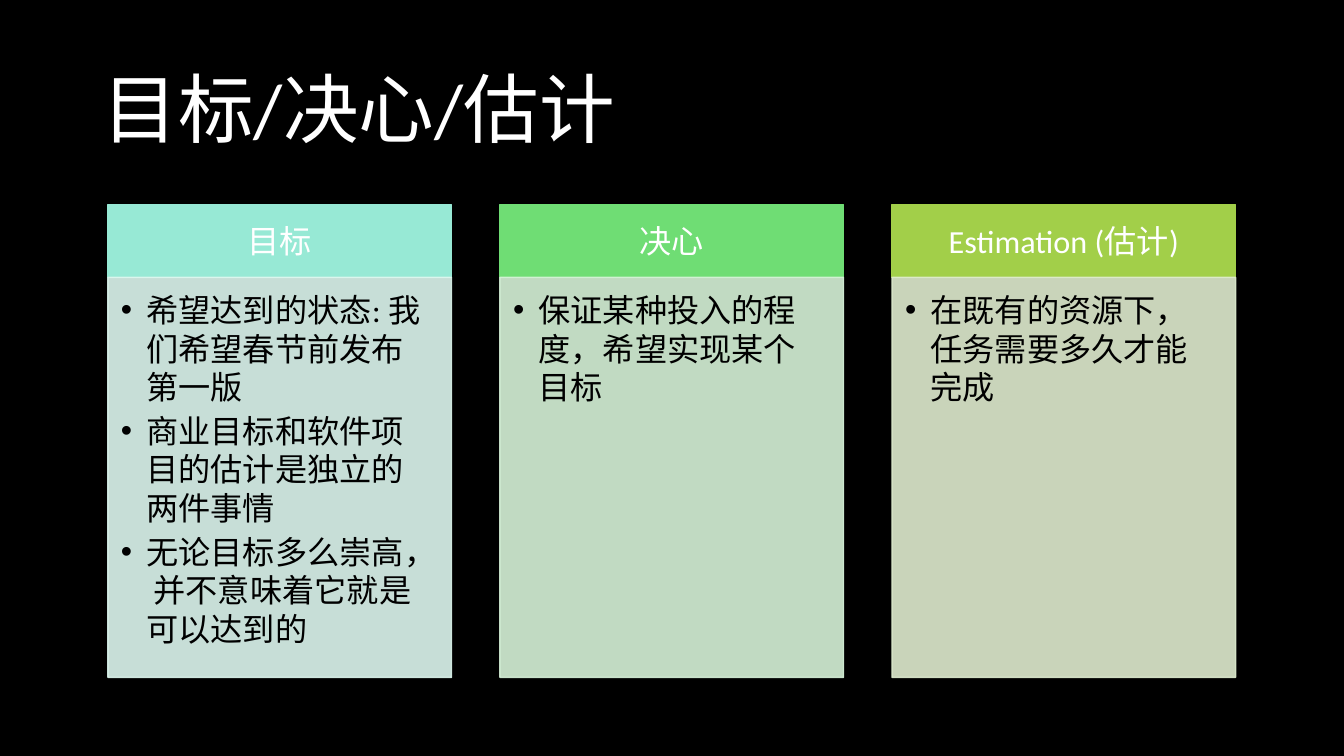
from lxml.etree import SubElement
from pptx import Presentation
from pptx.dml.color import RGBColor
from pptx.enum.shapes import MSO_SHAPE
from pptx.enum.text import MSO_ANCHOR, PP_ALIGN
from pptx.oxml.ns import qn
from pptx.util import Cm, Pt

COLORS = {
    "background": "000000", "light": "FFFFFF", "dark": "000000",
    "goal": "97E9D5", "goal_body": "DDF7EF",
    "commitment": "6FDD74", "commitment_body": "D6F2D8",
    "estimate": "A2CF49", "estimate_body": "DFECCF",
}
COLUMNS = [
    ("goal", "目标", ["希望达到的状态: 我们希望春节前发布第一版",
                    "商业目标和软件项目的估计是独立的两件事情",
                    "无论目标多么崇高， 并不意味着它就是可以达到的"]),
    ("commitment", "决心", ["保证某种投入的程度，希望实现某个目标"]),
    ("estimate", "Estimation (估计)", ["在既有的资源下，任务需要多久才能完成"]),
]
LEFT, PITCH, WIDTH = 2.72, 9.88, 8.66
TOP, HEADER_HEIGHT, BODY_HEIGHT = 5.16, 1.83, 10.08


class SlideBuilder:
    font = "Calibri"
    title_size = 54
    text_size = 23

    def __init__(self, prs):
        self.s = prs.slides.add_slide(prs.slide_layouts[6])
        fill = self.s.background.fill
        fill.solid()
        fill.fore_color.rgb = self.color("background")

    def color(self, name):
        return RGBColor.from_string(COLORS[name])

    def frame(self, sp, anchor, insets):
        """Set wrapping, anchor and left, top, right, bottom insets in cm."""
        tf = sp.text_frame
        tf.word_wrap = True
        tf.vertical_anchor = anchor
        tf.margin_left, tf.margin_top, tf.margin_right, tf.margin_bottom = map(Cm, insets)
        return tf

    def run(self, p, text, size, color):
        r = p.add_run()
        r.text = text
        r.font.name = self.font
        r.font.size = Pt(size)
        r.font.color.rgb = self.color(color)

    def title(self, text):
        sp = self.s.shapes.add_textbox(Cm(2.34), Cm(1.02), Cm(29.21), Cm(3.68))
        p = self.frame(sp, MSO_ANCHOR.MIDDLE, (0.25, 0.13, 0.25, 0.13)).paragraphs[0]
        p.line_spacing = 0.9
        self.run(p, text, self.title_size, "light")

    def panel(self, x, y, height, color, alpha=None):
        sp = self.s.shapes.add_shape(MSO_SHAPE.RECTANGLE, Cm(x), Cm(y), Cm(WIDTH), Cm(height))
        sp.shadow.inherit = False
        sp.fill.solid()
        sp.line.width = Pt(1)
        for fill in (sp.fill, sp.line.fill):
            fill.solid()
            fill.fore_color.rgb = self.color(color)
        if alpha:
            for clr in sp.element.spPr.iter(qn("a:srgbClr")):
                SubElement(clr, qn("a:alpha"), val=str(alpha * 1000))
        return sp

    def header(self, x, text, color):
        sp = self.panel(x, TOP, HEADER_HEIGHT, color)
        p = self.frame(sp, MSO_ANCHOR.MIDDLE, (0.46, 0.25, 0.46, 0.25)).paragraphs[0]
        p.alignment = PP_ALIGN.CENTER
        self.run(p, text, self.text_size, "light")

    def bullets(self, x, items, color):
        sp = self.panel(x, TOP + HEADER_HEIGHT, BODY_HEIGHT, color, alpha=90)
        tf = self.frame(sp, MSO_ANCHOR.TOP, (0.33, 0.33, 0.46, 0.51))
        for i, item in enumerate(items):
            p = tf.paragraphs[0] if i == 0 else tf.add_paragraph()
            pPr = p._p.get_or_add_pPr()
            pPr.set("marL", str(Cm(0.64)))
            pPr.set("indent", str(-Cm(0.64)))
            SubElement(pPr, qn("a:buFont"), typeface="Arial")
            SubElement(pPr, qn("a:buChar"), char="•")
            p.alignment = PP_ALIGN.LEFT
            p.space_after = Pt(3.5)
            self.run(p, item, self.text_size, "dark")


def main():
    prs = Presentation()
    prs.slide_width, prs.slide_height = Cm(33.87), Cm(19.05)
    slide = SlideBuilder(prs)
    slide.title("目标/决心/估计")
    for i, (color, heading, items) in enumerate(COLUMNS):
        x = LEFT + i * PITCH
        slide.header(x, heading, color)
        slide.bullets(x, items, f"{color}_body")
    prs.save("out.pptx")


if __name__ == "__main__":
    main()
